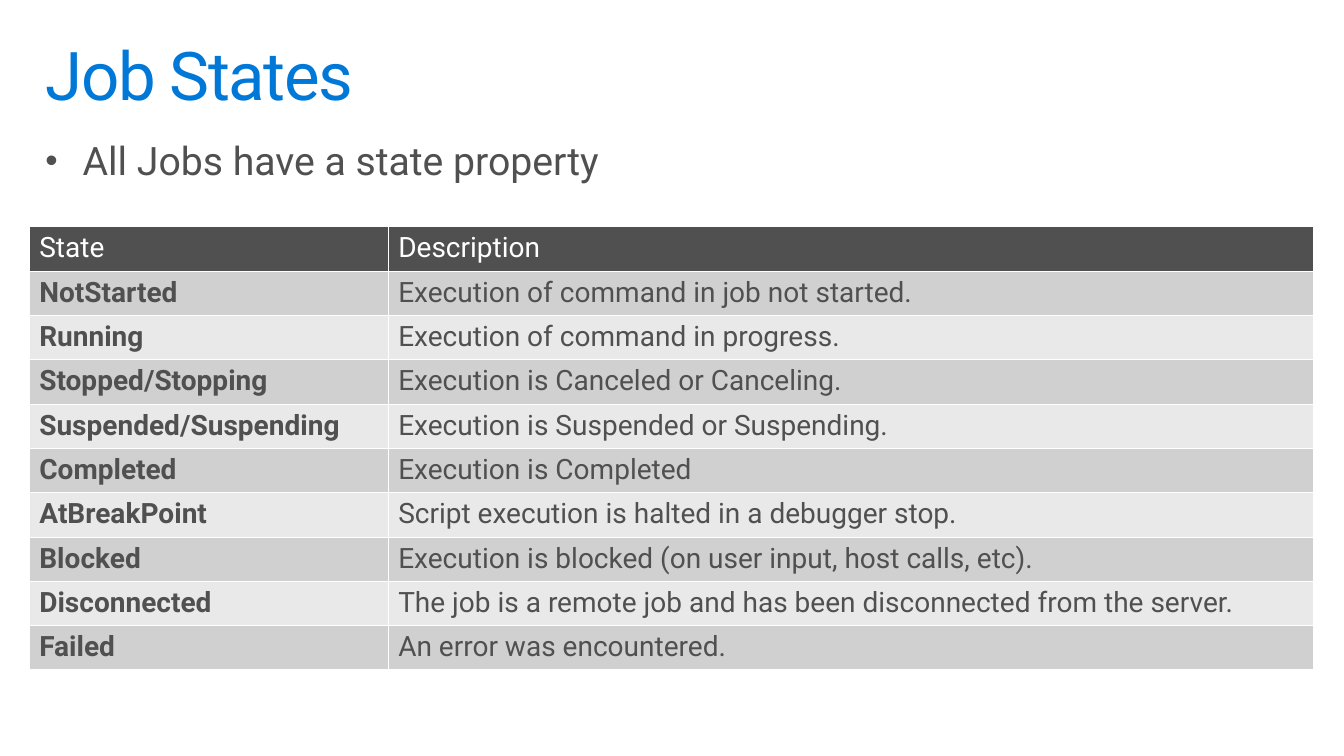
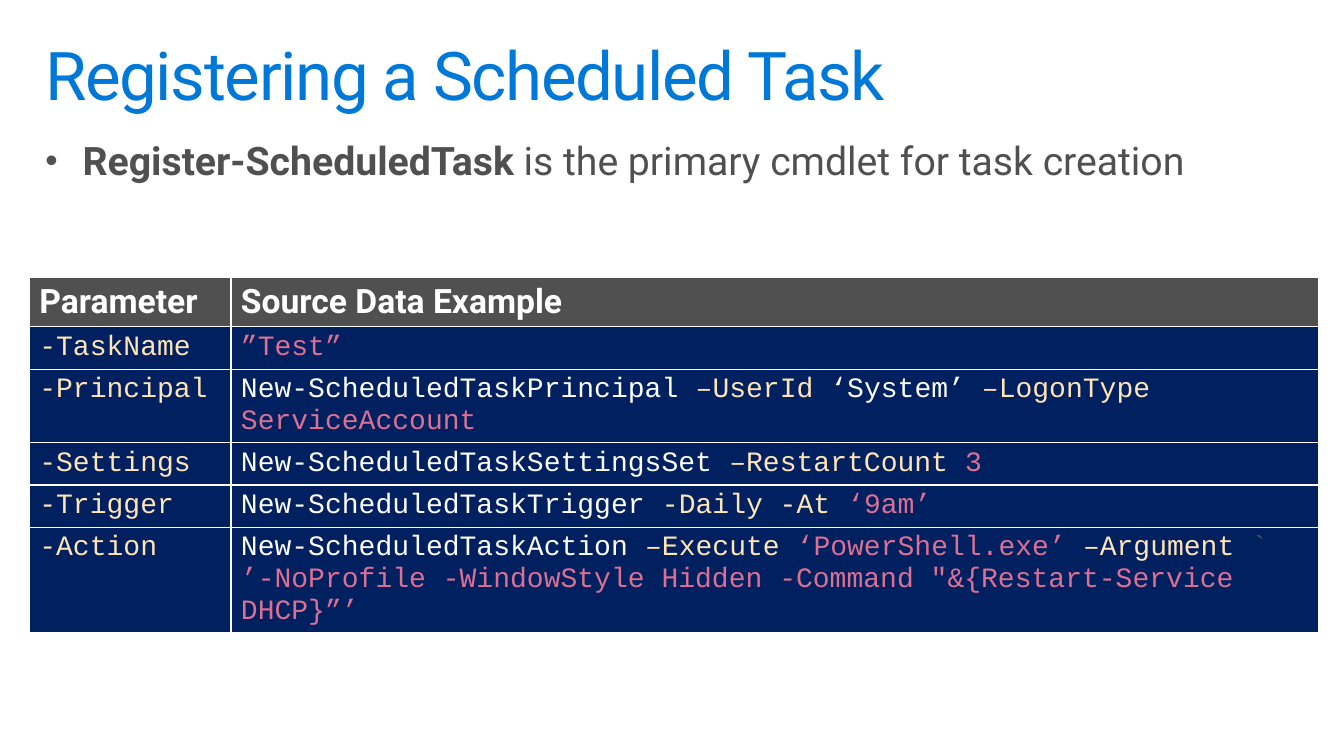
from dataclasses import dataclass

from pptx import Presentation
from pptx import util as u
from pptx.dml.color import RGBColor
from pptx.enum import text
from pptx.oxml import parse_xml
from pptx.oxml.ns import nsdecls


@dataclass(frozen=True)
class Theme:
    font: str = "Roboto"
    mono: str = "Courier New"
    blue: str = "0078D7"
    gray: str = "505050"
    white: str = "FFFFFF"
    bands: tuple = ("D0D0D0", "E9E9E9")
    navy: str = "002060"
    sand: str = "FFE4B5"
    rose: str = "DB7093"
    title: int = 48
    body: int = 28
    head: int = 24
    cell: int = 20


T = Theme()

# Content: a line is a list of (text, style) runs
STATES = [
    ("State", "Description"),
    ("NotStarted", "Execution of command in job not started."),
    ("Running", "Execution of command in progress."),
    ("Stopped/Stopping", "Execution is Canceled or Canceling."),
    ("Suspended/Suspending", "Execution is Suspended or Suspending."),
    ("Completed", "Execution is Completed"),
    ("AtBreakPoint", "Script execution is halted in a debugger stop."),
    ("Blocked", "Execution is blocked (on user input, host calls, etc)."),
    ("Disconnected", "The job is a remote job and has been disconnected from the server."),
    ("Failed", "An error was encountered."),
]
HEADS = ("Parameter", "Source Data Example")
PARAMS = [
    ("-TaskName", [[("”Test”", T.rose)]]),
    ("-Principal", [[("New-ScheduledTaskPrincipal ", T.white), ("–UserId ", T.sand),
                     ("‘System’ ", T.white), ("–LogonType ", T.sand),
                     ("ServiceAccount", T.rose)]]),
    ("-Settings", [[("New-ScheduledTaskSettingsSet ", T.white),
                    ("–RestartCount ", T.sand), ("3", T.rose)]]),
    ("-Trigger", [[("New-ScheduledTaskTrigger ", T.white),
                   ("-Daily -At ", T.sand), ("‘9am’", T.rose)]]),
    ("-Action", [[("New-ScheduledTaskAction ", T.white), ("–Execute ", T.sand),
                  ("‘PowerShell.exe’ ", T.rose), ("–Argument ", T.sand), ("`", T.gray)],
                 [("’-NoProfile -WindowStyle Hidden -Command "
                   "\"&{Restart-Service DHCP}”’", T.rose)]]),
]
LEFT = 0.29


# Text helpers
def style(run, size, color, bold=False, face=T.font):
    font = run.font
    font.name, font.size, font.bold = face, u.Pt(size), bold
    font.color.rgb = RGBColor.from_string(color)


def write(para, parts, size, face=T.font):
    for words, color, bold in parts:
        run = para.add_run()
        run.text = words
        style(run, size, color, bold, face)


def fill(cell, color):
    cell.fill.solid()
    cell.fill.fore_color.rgb = RGBColor.from_string(color)


# Shared frame: places and insets live in the layout
def set_up(layout):
    for holder, top, high in ((layout.placeholders[0], 0.32, 0.98),
                              (layout.placeholders[1], 1.3, 1.14)):
        holder.left, holder.top = u.Inches(LEFT), u.Inches(top)
        holder.width, holder.height = u.Inches(12.74), u.Inches(high)
        frame = holder.text_frame
        frame.margin_left = frame.margin_right = u.Inches(0.16)
        frame.margin_top = frame.margin_bottom = u.Inches(0.1)
        frame.vertical_anchor = text.MSO_ANCHOR.TOP
        frame.auto_size = text.MSO_AUTO_SIZE.NONE


def add_page(deck, layout, title, parts):
    page = deck.slides.add_slide(layout)
    head = page.shapes.title.text_frame
    head.text = title
    line = head.paragraphs[0]
    line.alignment, line.line_spacing = text.PP_ALIGN.LEFT, 0.9
    style(line.runs[0], T.title, T.blue)
    line.runs[0].font._element.set("spc", "-100")

    point = page.placeholders[1].text_frame.paragraphs[0]
    point.line_spacing = 0.9
    write(point, [(words, T.gray, bold) for words, bold in parts], T.body)
    props = point._p.get_or_add_pPr()
    props.set("marL", str(u.Inches(0.37)))
    props.set("indent", str(-u.Inches(0.37)))
    props.append(parse_xml(f'<a:buSzPct {nsdecls("a")} val="90000"/>'))
    return page


def add_grid(page, top, cols, rows):
    grid = page.shapes.add_table(len(rows), len(cols), u.Inches(LEFT), u.Inches(top),
                                 u.Inches(sum(cols)), u.Inches(sum(rows))).table
    for col, wide in zip(grid.columns, cols):
        col.width = u.Inches(wide)
    for row, high in zip(grid.rows, rows):
        row.height = u.Inches(high)
    return grid


def add_heads(grid, heads, size, bold):
    for col, words in enumerate(heads):
        cell = grid.cell(0, col)
        fill(cell, T.gray)
        write(cell.text_frame.paragraphs[0], [(words, T.white, bold)], size)


# Slide 1: job states
def add_states(deck, layout):
    page = add_page(deck, layout, "Job States", [("All Jobs have a state property", False)])
    grid = add_grid(page, 2.25, (3.56, 9.18), [0.44] * len(STATES))
    add_heads(grid, STATES[0], T.cell, False)
    for row, pair in enumerate(STATES[1:], 1):
        for col, words in enumerate(pair):
            cell = grid.cell(row, col)
            fill(cell, T.bands[(row - 1) % 2])
            write(cell.text_frame.paragraphs[0], [(words, T.gray, col == 0)], T.cell)


# Slide 2: task parameters
def add_params(deck, layout):
    page = add_page(deck, layout, "Registering a Scheduled Task",
                    [("Register-ScheduledTask ", True),
                     ("is the primary cmdlet for task creation", False)])
    grid = add_grid(page, 2.75, (2, 10.79), (0.48, 0.42, 0.73, 0.42, 0.42, 1.04))
    add_heads(grid, HEADS, T.head, True)
    for row, (name, code) in enumerate(PARAMS, 1):
        for col, lines in enumerate(([[(name, T.sand)]], code)):
            cell = grid.cell(row, col)
            fill(cell, T.navy)
            frame = cell.text_frame
            for pos, line in enumerate(lines):
                para = frame.add_paragraph() if pos else frame.paragraphs[0]
                write(para, [(words, color, False) for words, color in line], T.cell, T.mono)


def main():
    deck = Presentation()
    deck.slide_width, deck.slide_height = u.Inches(13.33), u.Inches(7.5)
    layout = deck.slide_layouts[1]
    set_up(layout)
    add_states(deck, layout)
    add_params(deck, layout)
    deck.save("out.pptx")


if __name__ == "__main__":
    main()
